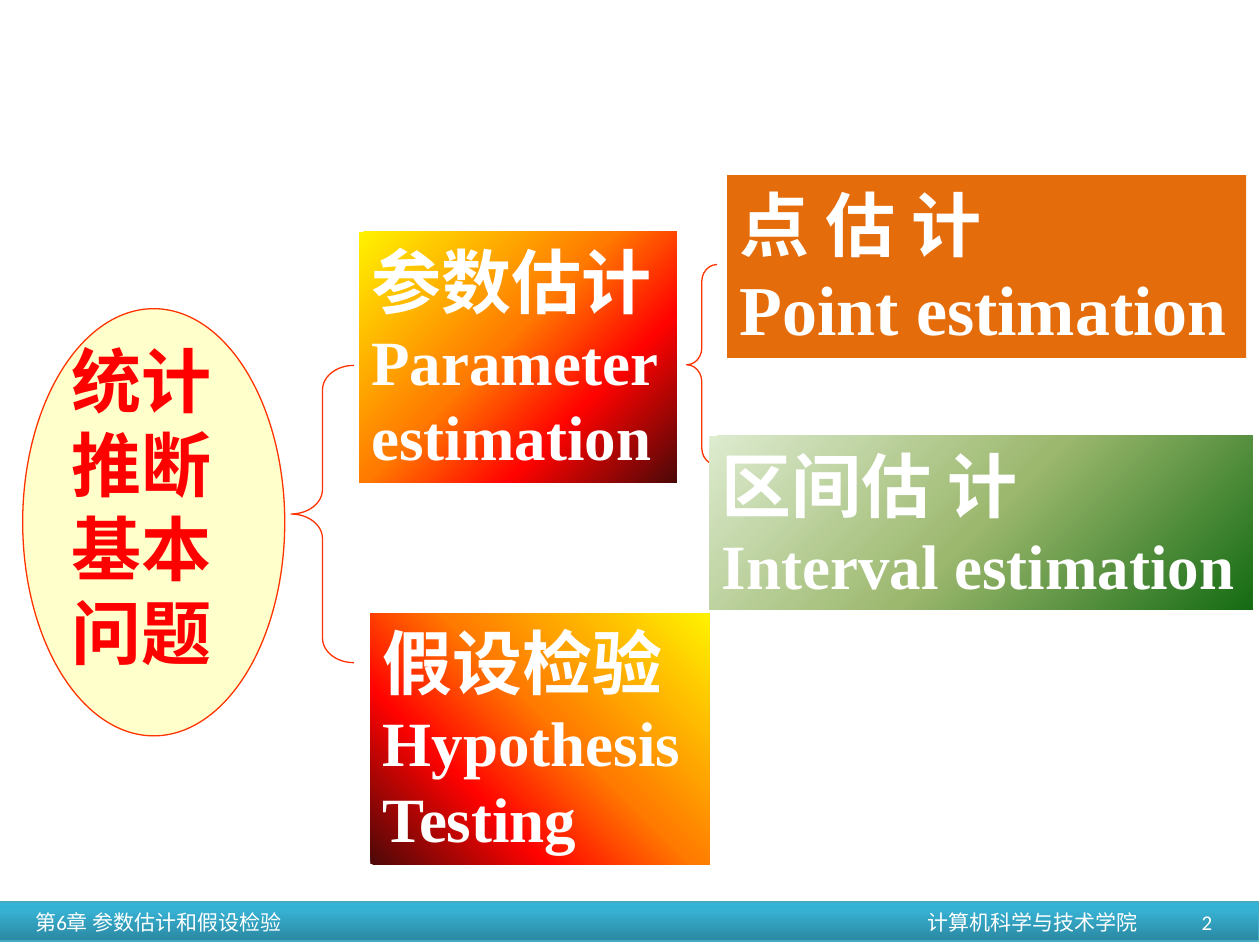
from dataclasses import dataclass

import pptx
import pptx.dml.color
import pptx.enum.shapes
import pptx.enum.text
import pptx.oxml.ns
import pptx.util
from lxml import etree

Inches = pptx.util.Inches
Pt = pptx.util.Pt
Shapes = pptx.enum.shapes.MSO_SHAPE
Align = pptx.enum.text.PP_ALIGN
Anchor = pptx.enum.text.MSO_ANCHOR
AutoSize = pptx.enum.text.MSO_AUTO_SIZE

WHITE, RED, ORANGE_RED = "FFFFFF", "FF0000", "FF3300"
SERIF, SANS = "Times New Roman", "Calibri"


@dataclass
class Gradient:
    stops: list[tuple[int, str]]
    angle: int  # clockwise degrees


@dataclass
class Line:
    text: str
    size: int


@dataclass
class Topic:
    area: tuple[float, float, float, float]
    fill: str | Gradient
    lines: list[Line]
    wrap: bool


@dataclass
class Brace:
    area: tuple[float, float, float, float]
    curve: float


FIRE = [(0, "FFF200"), (45, "FF7A00"), (70, "FF0300"), (100, "4D0808")]
FIRE_REVERSED = [(100 - position, color) for position, color in reversed(FIRE)]
GREENS = [(0, "DDEBCF"), (50, "9CB86E"), (100, "156B13")]
BLUES = [(0, "2A88A2"), (80, "37B1D2"), (100, "34B4D6")]

BRACES = [
    Brace((2.31, 2.9, 0.5, 2.36), 0.39),
    Brace((5.45, 2.1, 0.24, 1.59), 0.56),
]
TOPICS = [
    Topic((2.85, 1.84, 2.52, 1.99), Gradient(FIRE, 45),
          [Line("参数估计", 40), Line("Parameter estimation", 36)], True),
    Topic((2.94, 4.87, 2.69, 1.99), Gradient(FIRE_REVERSED, 315),
          [Line("假设检验", 40), Line("Hypothesis Testing", 36)], True),
    Topic((5.77, 1.39, 4.12, 1.45), "E46C0A",
          [Line("点 估 计", 40), Line("Point estimation", 40)], False),
    Topic((5.63, 3.46, 4.31, 1.38), Gradient(GREENS, 45),
          [Line("区间估 计", 40), Line("Interval estimation", 36)], False),
]


def rgb(color: str):
    return pptx.dml.color.RGBColor.from_string(color)


def apply_fill(shape, fill: str | Gradient | None) -> None:
    if fill is None:
        shape.fill.background()
    elif isinstance(fill, str):
        shape.fill.solid()
        shape.fill.fore_color.rgb = rgb(fill)
    else:
        shape.fill.gradient()
        shape.fill.gradient_angle = (360 - fill.angle) % 360
        qn = pptx.oxml.ns.qn
        stop_list = shape.element.spPr.find(".//" + qn("a:gsLst"))
        for stop in list(stop_list):
            stop_list.remove(stop)
        for position, color in fill.stops:
            stop = etree.SubElement(stop_list, qn("a:gs"), pos=str(position * 1000))
            etree.SubElement(stop, qn("a:srgbClr"), val=color)


def add_shape(slide, kind, area, fill=None, line: str | None = None):
    shape = slide.shapes.add_shape(kind, *map(Inches, area))
    shape.shadow.inherit = False
    apply_fill(shape, fill)
    if line:
        shape.line.color.rgb = rgb(line)
        shape.line.width = Pt(0.75)
    else:
        shape.line.fill.background()
    return shape


def write_lines(shape, lines: list[Line], font: str, color: str, bold=False,
                align=Align.LEFT, anchor=Anchor.TOP, wrap=True) -> None:
    frame = shape.text_frame
    frame.word_wrap = wrap
    frame.vertical_anchor = anchor
    for index, line in enumerate(lines):
        paragraph = frame.add_paragraph() if index else frame.paragraphs[0]
        paragraph.text = line.text
        paragraph.alignment = align
        paragraph.font.name = font
        paragraph.font.size = Pt(line.size)
        paragraph.font.bold = bold
        paragraph.font.color.rgb = rgb(color)


def add_topic(slide, topic: Topic) -> None:
    shape = add_shape(slide, Shapes.RECTANGLE, topic.area, topic.fill)
    write_lines(shape, topic.lines, SERIF, WHITE, bold=True, wrap=topic.wrap)
    shape.text_frame.auto_size = AutoSize.SHAPE_TO_FIT_TEXT


def add_brace(slide, brace: Brace) -> None:
    shape = add_shape(slide, Shapes.LEFT_BRACE, brace.area, line=ORANGE_RED)
    shape.adjustments[0] = brace.curve
    shape.adjustments[1] = 0.5


def add_footer(slide) -> None:
    bar = add_shape(slide, Shapes.RECTANGLE, (-0.01, 7.16, 10, 0.31),
                    Gradient(BLUES, 270), "46AAC5")
    bar.text_frame.margin_left = Inches(0.29)
    write_lines(bar, [Line("第6章 参数估计和假设检验", 12)], SANS, WHITE,
                anchor=Anchor.MIDDLE)
    labels = [("计算机科学与技术学院", (6.13, 7.12, 3, 0.4)),
              ("2", (7.39, 7.12, 2.33, 0.4))]
    for text, area in labels:
        label = slide.shapes.add_textbox(*map(Inches, area))
        write_lines(label, [Line(text, 12)], SANS, WHITE,
                    align=Align.RIGHT, anchor=Anchor.MIDDLE)


def add_root(slide) -> None:
    add_shape(slide, Shapes.OVAL, (0.18, 2.45, 2.08, 3.39), "FFFFCC", ORANGE_RED)
    label = slide.shapes.add_textbox(*map(Inches, (0.47, 2.63, 1.43, 2.77)))
    words = ["统计", "推断", "基本", "问题"]
    write_lines(label, [Line(word, 40) for word in words], SERIF, RED, bold=True)
    label.text_frame.auto_size = AutoSize.SHAPE_TO_FIT_TEXT


def main() -> None:
    presentation = pptx.Presentation()
    presentation.slide_width = Inches(10)
    presentation.slide_height = Inches(7.5)
    slide = presentation.slides.add_slide(presentation.slide_layouts[6])
    add_footer(slide)
    for brace in BRACES:
        add_brace(slide, brace)
    for topic in TOPICS:
        add_topic(slide, topic)
    add_root(slide)
    presentation.save("out.pptx")


if __name__ == "__main__":
    main()
